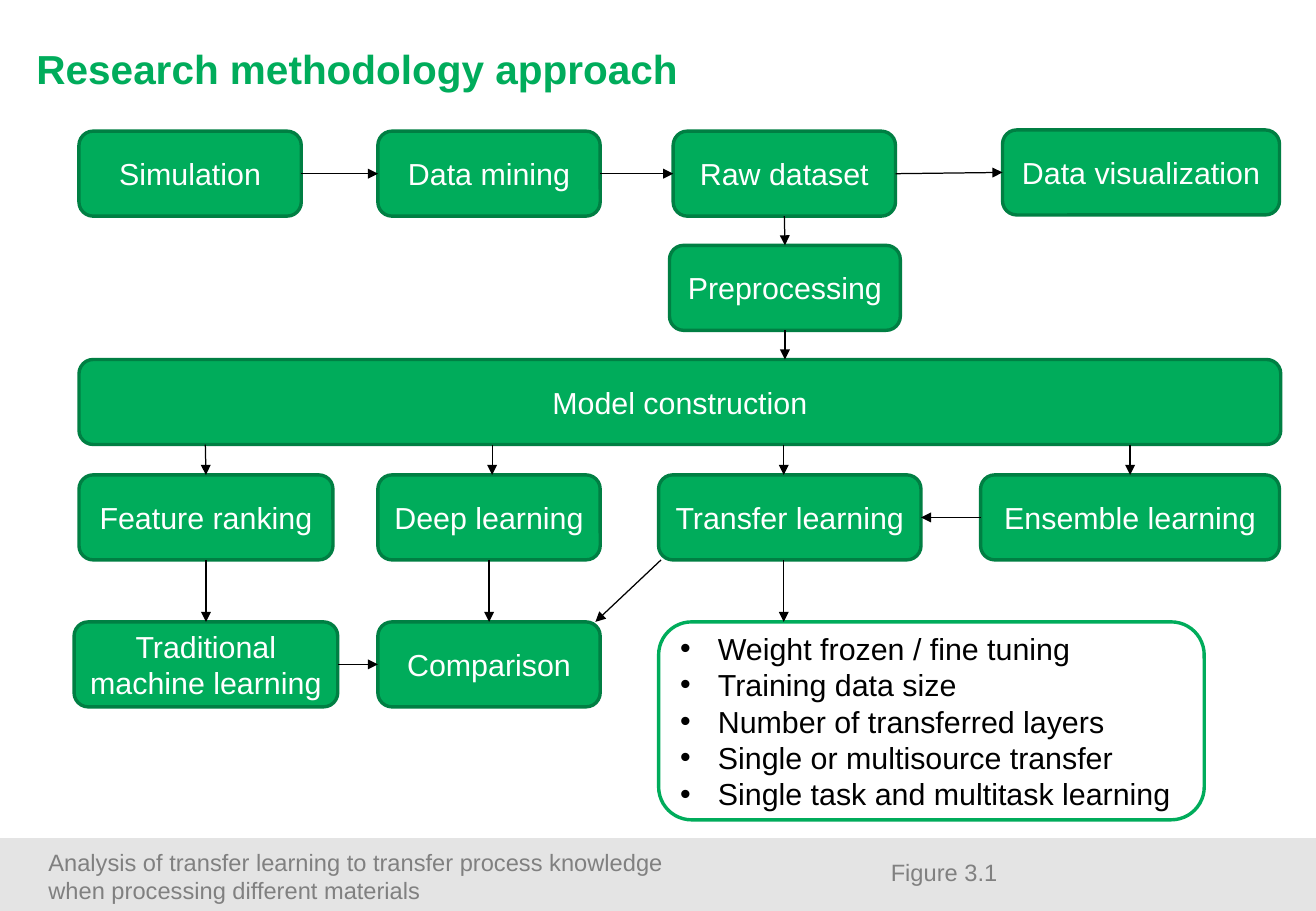
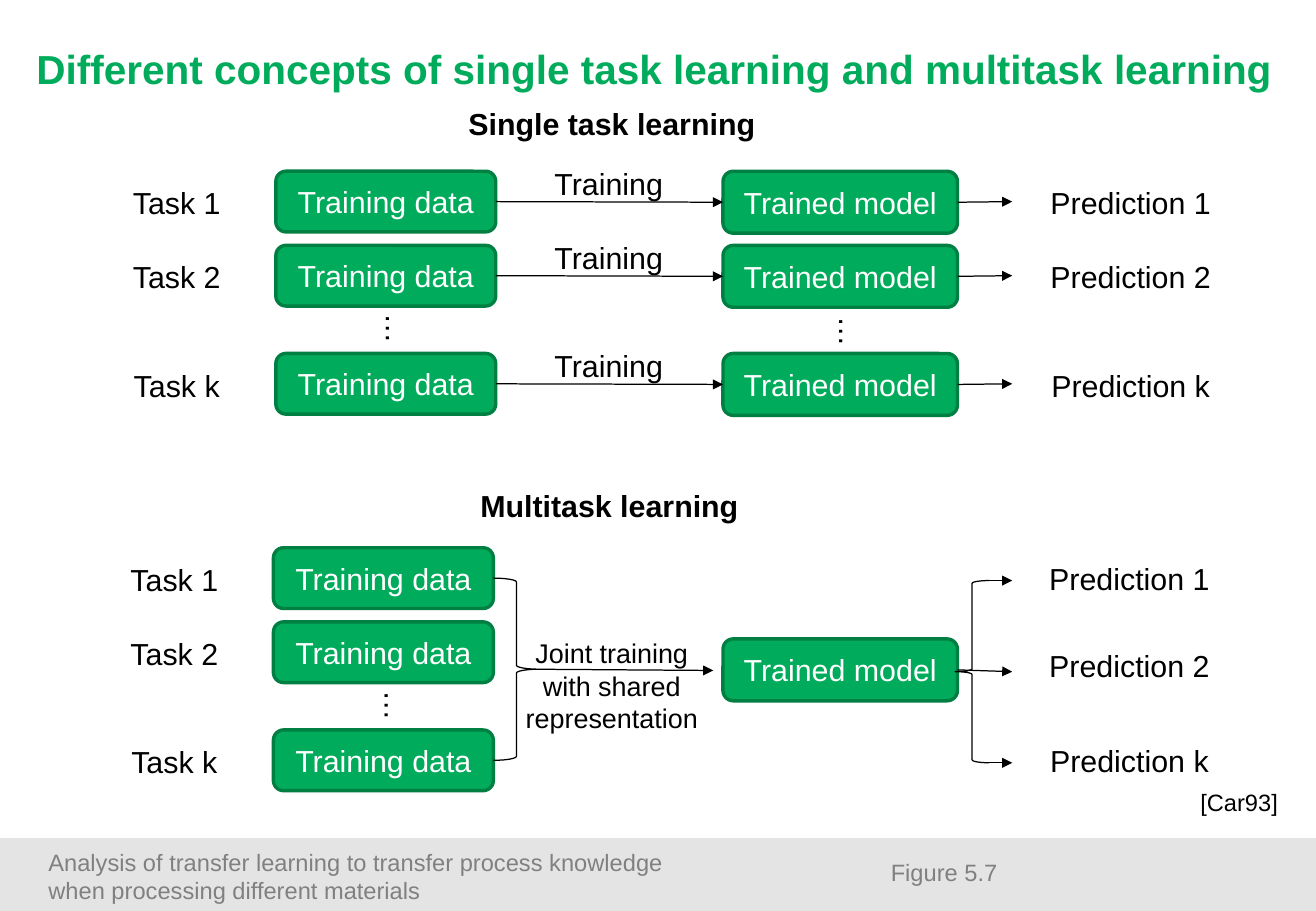
from pptx import Presentation
from pptx.dml.color import RGBColor
from pptx.enum import shapes, text
from pptx.oxml import ns, xmlchemy
from pptx.util import Inches, Pt

GREEN, DARK_GREEN = "00AC5B", "007F43"
BLACK, WHITE, GREY, BAND = "000000", "FFFFFF", "808080", "E4E4E4"
FONT = "Arial"
CENTER, LEFT = text.PP_ALIGN.CENTER, text.PP_ALIGN.LEFT
TOP, LEFT_SIDE, BOTTOM, RIGHT_SIDE = range(4)
colour = RGBColor.from_string


def add_text(page, at, words, size=18, ink=BLACK, bold=False, align=CENTER, wrap=False, fill=None, edge=DARK_GREEN):
    """Add a text box, or a rounded box when a fill is given."""
    place = [Inches(length) for length in at]
    if fill:
        box = page.shapes.add_shape(shapes.MSO_SHAPE.ROUNDED_RECTANGLE, *place)
        box.shadow.inherit = False
        box.fill.solid()
        box.fill.fore_color.rgb = colour(fill)
        box.line.color.rgb = colour(edge)
        box.line.width = Pt(2)
        box.text_frame.vertical_anchor = text.MSO_ANCHOR.MIDDLE
    else:
        box = page.shapes.add_textbox(*place)
    frame = box.text_frame
    frame.word_wrap = wrap or bool(fill)
    frame.text = words
    for para in frame.paragraphs:
        para.alignment = align
        for span in para.runs:
            span.font.name = FONT
            span.font.size = Pt(size)
            span.font.bold = bold
            span.font.color.rgb = colour(ink)
    return box


def add_arrow(page, start, end):
    """Draw an arrow; each end is a point (x, y) or a (box, side) pair."""
    arrow = page.shapes.add_connector(shapes.MSO_CONNECTOR.STRAIGHT, 0, 0, 0, 0)
    if isinstance(start[0], (int, float)):
        arrow.begin_x, arrow.begin_y = Inches(start[0]), Inches(start[1])
    else:
        arrow.begin_connect(*start)
    if isinstance(end[0], (int, float)):
        arrow.end_x, arrow.end_y = Inches(end[0]), Inches(end[1])
    else:
        arrow.end_connect(*end)
    arrow.line.color.rgb = colour(BLACK)
    arrow.line.width = Pt(0.75)
    head = xmlchemy.OxmlElement("a:tailEnd")
    head.set("type", "triangle")
    props = arrow._element.spPr
    props.find(ns.qn("a:ln")).append(head)
    props.append(xmlchemy.OxmlElement("a:effectLst"))


deck = Presentation()
deck.slide_width, deck.slide_height = Inches(10.83), Inches(7.5)

# Shared title, band and footer
pages = []
for title, figure in [
    ("Research methodology approach", "Figure 3.1"),
    ("Different concepts of single task learning and multitask learning", "Figure 5.7"),
]:
    page = deck.slides.add_slide(deck.slide_layouts[6])
    band = page.shapes.add_shape(
        shapes.MSO_SHAPE.RECTANGLE, 0, Inches(6.9), deck.slide_width, Inches(0.6))
    band.shadow.inherit = False
    band.fill.solid()
    band.fill.fore_color.rgb = colour(BAND)
    band.line.fill.background()
    add_text(page, (0.3, 6.93, 7.5, 0.55),
             "Analysis of transfer learning to transfer process knowledge\n"
             "when processing different materials", 14, GREY, align=LEFT, wrap=True)
    add_text(page, (7.17, 7.01, 1.2, 0.37), figure, 14, GREY)
    heading = add_text(page, (0.3, 0.36, 10.24, 0.79), title, 24, GREEN, True, LEFT, True)
    frame = heading.text_frame
    frame.margin_left = frame.margin_top = frame.margin_right = frame.margin_bottom = 0
    pages.append(page)
method, concepts = pages

# Research methodology flow
steps = {}
for name, left, top, width in [
    ("Simulation", 0.65, 1.08, 1.83),
    ("Data mining", 3.11, 1.08, 1.83),
    ("Raw dataset", 5.54, 1.08, 1.83),
    ("Data visualization", 8.25, 1.07, 2.28),
    ("Preprocessing", 5.51, 2.02, 1.9),
    ("Model construction", 0.65, 2.96, 9.89),
    ("Feature ranking", 0.65, 3.91, 2.09),
    ("Deep learning", 3.11, 3.91, 1.83),
    ("Transfer learning", 5.42, 3.91, 2.16),
    ("Ensemble learning", 8.07, 3.91, 2.46),
    ("Traditional machine learning", 0.61, 5.12, 2.17),
    ("Comparison", 3.11, 5.12, 1.83),
]:
    steps[name] = add_text(method, (left, top, width, 0.7), name, ink=WHITE, fill=GREEN)

topics = add_text(method, (5.42, 5.12, 4.49, 1.63),
                  "Weight frozen / fine tuning\nTraining data size\n"
                  "Number of transferred layers\nSingle or multisource transfer\n"
                  "Single task and multitask learning", align=LEFT, fill=WHITE, edge=GREEN)
for para in topics.text_frame.paragraphs:
    props = para._p.get_or_add_pPr()
    props.set("marL", str(Inches(0.31)))
    props.set("indent", str(-Inches(0.31)))
    for tag, key, value in [("a:buFont", "typeface", FONT), ("a:buChar", "char", "•")]:
        bullet = xmlchemy.OxmlElement(tag)
        bullet.set(key, value)
        props.append(bullet)

for source, side, target, target_side in [
    ("Simulation", RIGHT_SIDE, "Data mining", LEFT_SIDE),
    ("Data mining", RIGHT_SIDE, "Raw dataset", LEFT_SIDE),
    ("Raw dataset", RIGHT_SIDE, "Data visualization", LEFT_SIDE),
    ("Raw dataset", BOTTOM, "Preprocessing", TOP),
    ("Feature ranking", BOTTOM, "Traditional machine learning", TOP),
    ("Deep learning", BOTTOM, "Comparison", TOP),
    ("Ensemble learning", LEFT_SIDE, "Transfer learning", RIGHT_SIDE),
    ("Traditional machine learning", RIGHT_SIDE, "Comparison", LEFT_SIDE),
]:
    add_arrow(method, (steps[source], side), (steps[target], target_side))

add_arrow(method, (steps["Preprocessing"], BOTTOM), (6.46, 2.96))
add_arrow(method, (1.69, 3.66), (steps["Feature ranking"], TOP))
add_arrow(method, (9.3, 3.66), (steps["Ensemble learning"], TOP))
for start, end in [
    ((4.05, 3.66), (4.05, 3.91)),
    ((6.45, 3.66), (6.45, 3.91)),
    ((6.45, 4.61), (6.45, 5.12)),
    ((5.44, 4.61), (4.9, 5.12)),
]:
    add_arrow(method, start, end)

# Single task learning above, multitask learning below
add_text(concepts, (3.74, 0.82, 2.59, 0.4), "Single task learning", bold=True)
add_text(concepts, (3.84, 3.96, 2.35, 0.4), "Multitask learning", bold=True)
joint_model = add_text(concepts, (5.95, 5.26, 1.93, 0.51), "Trained model", ink=WHITE, fill=GREEN)

for task, offset, joint_top in [("1", 0, 4.56), ("2", 0.61, 5.28), ("k", 1.5, 6.06)]:
    top = 1.41 + offset
    data = add_text(concepts, (2.27, top, 1.81, 0.5), "Training data", ink=WHITE, fill=GREEN)
    model = add_text(concepts, (5.95, top, 1.93, 0.51), "Trained model", ink=WHITE, fill=GREEN)
    add_arrow(concepts, (data, RIGHT_SIDE), (model, LEFT_SIDE))
    add_arrow(concepts, (model, RIGHT_SIDE), (8.33, top + 0.25))
    add_text(concepts, (4.46, top - 0.1, 1.1, 0.4), "Training")
    add_text(concepts, (0.99, top + 0.06, 0.93, 0.4), f"Task {task}")
    add_text(concepts, (8.54, top + 0.06, 1.53, 0.4), f"Prediction {task}")

    top = 4.51 + offset
    add_text(concepts, (2.25, top, 1.81, 0.5), "Training data", ink=WHITE, fill=GREEN)
    add_text(concepts, (0.97, top + 0.06, 0.93, 0.4), f"Task {task}")
    add_text(concepts, (8.53, joint_top, 1.53, 0.4), f"Prediction {task}")

for kind, left, top, width in [
    (shapes.MSO_SHAPE.RIGHT_BRACE, 4.06, 4.76, 0.38),
    (shapes.MSO_SHAPE.LEFT_BRACE, 7.86, 4.78, 0.28),
]:
    brace = concepts.shapes.add_shape(kind, Inches(left), Inches(top), Inches(width), Inches(1.5))
    brace.shadow.inherit = False
    brace.fill.background()
    brace.line.color.rgb = colour(BLACK)
    brace.line.width = Pt(0.75)

joint = add_text(concepts, (4.07, 5.06, 1.93, 1.04),
                 "Joint training\nwith shared\nrepresentation", 16, wrap=True)
joint.text_frame.paragraphs[0].line_spacing = 1.5
add_arrow(concepts, (4.44, 5.51), (5.87, 5.52))
add_arrow(concepts, (joint_model, RIGHT_SIDE), (8.33, 5.53))
for height in (4.78, 6.28):
    add_arrow(concepts, (8.14, height), (8.33, height))

for left, top in [(3.05, 2.51), (3.04, 5.61), (6.78, 2.53)]:
    add_text(concepts, (left, top, 0.45, 0.4), "…").rotation = 90
add_text(concepts, (9.78, 6.44, 1, 0.31), "[Car93]", 14, align=LEFT, wrap=True)

deck.save("out.pptx")
